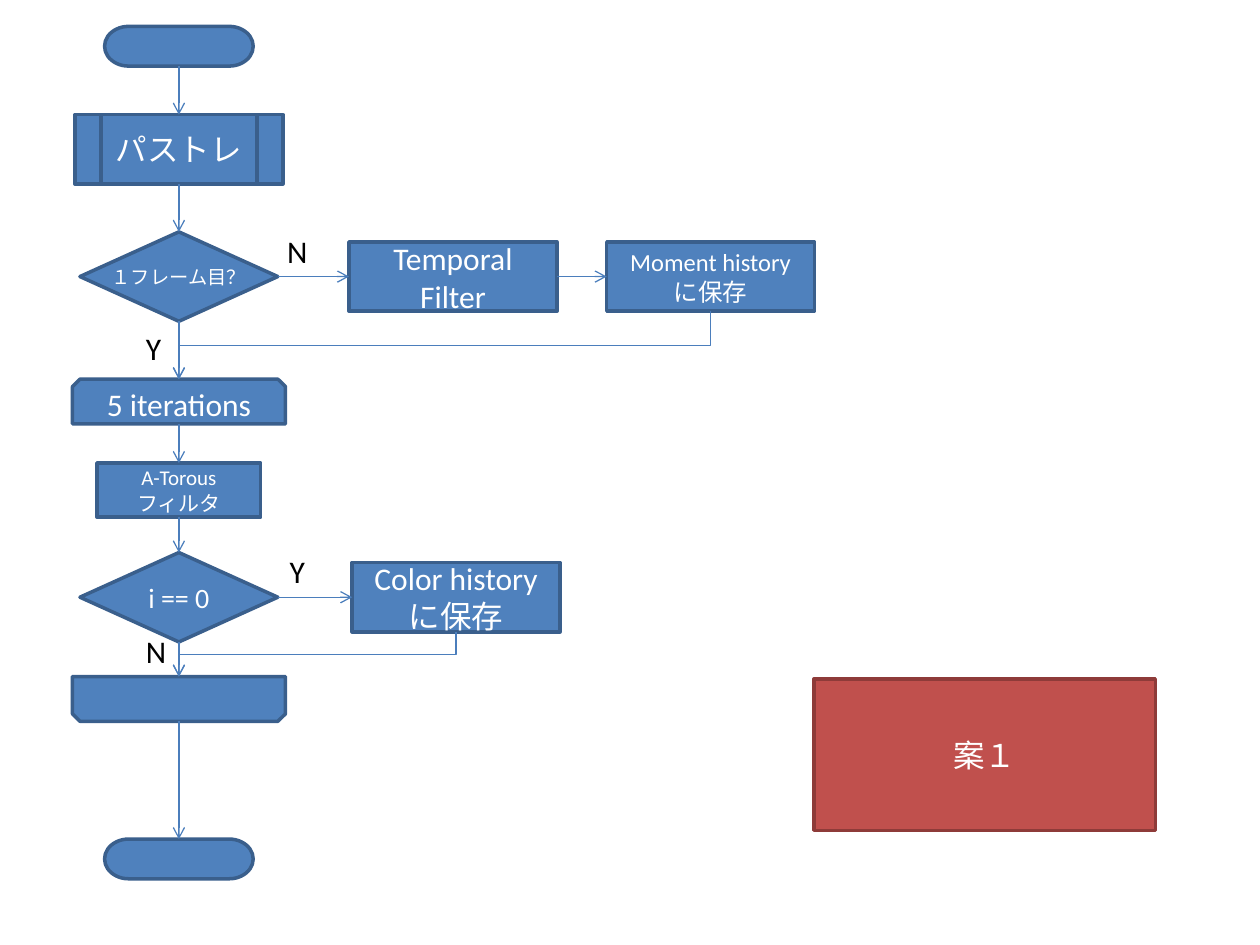
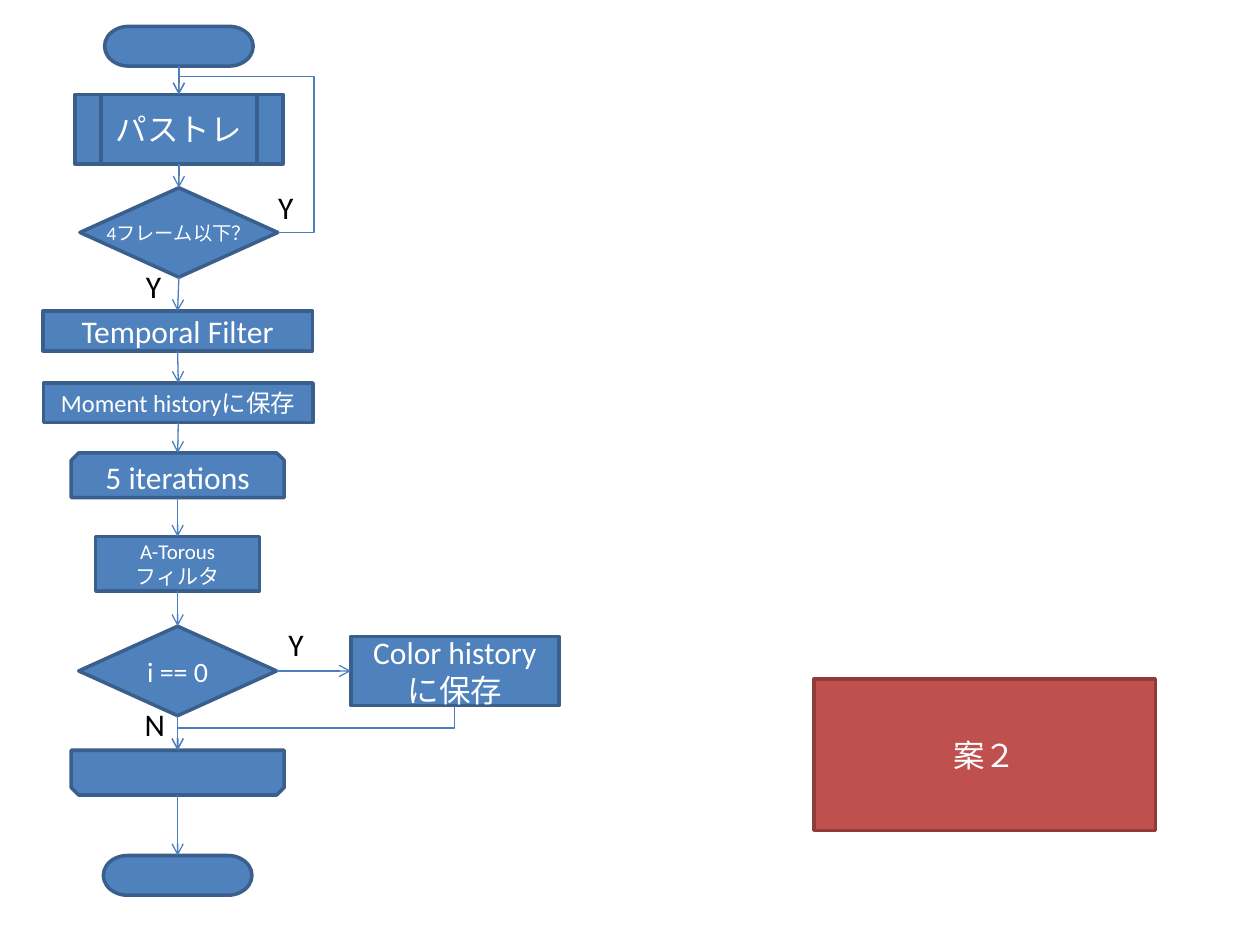
"""Build two flowchart slides that compare two plans for a denoising pipeline."""
import pptx
import pptx.util
import pptx.dml.color
import pptx.enum.shapes
import pptx.enum.text
import pptx.oxml
import pptx.oxml.ns

SHAPE = pptx.enum.shapes.MSO_SHAPE
CONNECTOR = pptx.enum.shapes.MSO_CONNECTOR
COLORS = {"step": "4F81BD", "step edge": "3A5F8C", "arrow": "4B7EBC",
          "plan": "C0504D", "plan edge": "8E3B39", "light": "FFFFFF", "dark": "000000"}
FONT = "Calibri"
SLIDE_SIZE = (10, 7.5)
COLUMNS = 100
TOP, LEFT, BOTTOM, RIGHT = range(4)

KINDS = {
    "terminal": (SHAPE.FLOWCHART_TERMINATOR, 11.8, 3.15),
    "routine": (SHAPE.FLOWCHART_PREDEFINED_PROCESS, 16.5, 5.5),
    "decision": (SHAPE.FLOWCHART_DECISION, 15.7, 7.1),
    "process": (SHAPE.RECTANGLE, 16.5, 5.5),
    "filter": (SHAPE.RECTANGLE, 13, 4.3),
    "bar": (SHAPE.RECTANGLE, 21.4, 3.15),
    "loop start": (SHAPE.SNIP_2_SAME_RECTANGLE, 16.9, 3.55),
    "loop end": (SHAPE.SNIP_2_SAME_RECTANGLE, 16.9, 3.55),
    "plan": (SHAPE.RECTANGLE, 27.1, 12),
}

# Steps: name, kind, text, text size, centre column, top row
START = ("start", "terminal", "", 18, 14.2, 2.1)
LOOP_STEPS = [
    ("loop", "loop start", "5 iterations", 18, 0, 0),
    ("atorous", "filter", "A-Torous\nフィルタ", 12, 0, 6.65),
    ("first pass", "decision", "i == 0", 16, 0, 13.75),
    ("loop end", "loop end", "", 18, 0, 23.6),
    ("color", "process", "Color history\nに保存", 18, 22, 14.55),
]
LOOP_LABELS = [("Y", 7.8, 13.2), ("N", -3.6, 19.55)]
LOOP_CHAIN = ["loop", "atorous", "first pass", "loop end", "end"]

PLANS = [
    {
        "steps": [
            START,
            ("trace", "routine", "パストレ", 18, 14.2, 9.1),
            ("frame", "decision", "１フレーム目？", 11, 14.2, 18.4),
            ("temporal", "process", "Temporal\nFilter", 18, 35.95, 19.2),
            ("moment", "process", "Moment history\nに保存", 14, 56.4, 19.2),
            ("end", "terminal", "", 18, 14.2, 66.6),
            ("plan", "plan", "案１", 18, 78.15, 53.9),
        ],
        "labels": [("Y", 10.6, 25.6), ("N", 21.8, 17.9)],
        "loop": (14.2, 30.1),
        "down": ["start", "trace", "frame"] + LOOP_CHAIN,
        "across": ["frame", "temporal", "moment"],
        "returns": [("moment", "loop")],
        "repeats": [],
    },
    {
        "steps": [
            START,
            ("trace", "routine", "パストレ", 18, 14.2, 7.5),
            ("frame", "decision", "4フレーム以下？", 11, 14.2, 14.9),
            ("temporal", "bar", "Temporal Filter", 18, 14.1, 24.7),
            ("moment", "bar", "Moment historyに保存", 14, 14.15, 30.4),
            ("end", "terminal", "", 18, 14.1, 67.9),
            ("plan", "plan", "案２", 18, 78.15, 53.9),
        ],
        "labels": [("Y", 10.6, 20.7), ("Y", 21.1, 14.4)],
        "loop": (14.1, 35.95),
        "down": ["start", "trace", "frame", "temporal", "moment"] + LOOP_CHAIN,
        "across": [],
        "returns": [],
        "repeats": [("frame", "trace")],
    },
]


def cells(count):
    return pptx.util.Inches(count * SLIDE_SIZE[0] / COLUMNS)


def rgb(name):
    return pptx.dml.color.RGBColor.from_string(COLORS[name])


def write(frame, text, size=18, color="light", align=pptx.enum.text.PP_ALIGN.CENTER, wrap=True):
    frame.word_wrap = wrap
    for index, line in enumerate(text.split("\n")):
        paragraph = frame.add_paragraph() if index else frame.paragraphs[0]
        paragraph.alignment = align
        run = paragraph.add_run()
        run.text = line
        run.font.name = FONT
        run.font.size = pptx.util.Pt(size)
        run.font.color.rgb = rgb(color)


def add_step(slide, kind, text, size, center, top):
    preset, width, height = KINDS[kind]
    step = slide.shapes.add_shape(preset, cells(center - width / 2), cells(top),
                                  cells(width), cells(height))
    palette = "plan" if kind == "plan" else "step"
    step.shadow.inherit = False
    step.fill.solid()
    step.fill.fore_color.rgb = rgb(palette)
    step.line.color.rgb = rgb(palette + " edge")
    step.line.width = pptx.util.Pt(2)
    if kind == "loop end":
        step.element.spPr.find(pptx.oxml.ns.qn("a:xfrm")).set("flipV", "1")
    if text:
        step.text_frame.vertical_anchor = pptx.enum.text.MSO_ANCHOR.MIDDLE
        write(step.text_frame, text, size=size, wrap=kind != "decision")
    return step


def add_label(slide, text, left, top):
    label = slide.shapes.add_textbox(cells(left), cells(top), cells(3.5), cells(4))
    label.text_frame.auto_size = pptx.enum.text.MSO_AUTO_SIZE.SHAPE_TO_FIT_TEXT
    write(label.text_frame, text, color="dark", align=pptx.enum.text.PP_ALIGN.LEFT)


def side_point(step, side):
    x = {LEFT: 0, RIGHT: step.width}.get(side, step.width // 2)
    y = {TOP: 0, BOTTOM: step.height}.get(side, step.height // 2)
    return step.left + x, step.top + y


def add_arrow(slide, kind, begin, end):
    arrow = slide.shapes.add_connector(kind, *begin, *end)
    arrow.line.color.rgb = rgb("arrow")
    arrow.line.width = pptx.util.Pt(0.75)
    line = arrow.line._get_or_add_ln()
    line.append(pptx.oxml.parse_xml(f'<a:tailEnd {pptx.oxml.ns.nsdecls("a")} type="arrow"/>'))
    properties = arrow._element.spPr
    properties.append(pptx.oxml.parse_xml(f'<a:effectLst {pptx.oxml.ns.nsdecls("a")}/>'))
    return arrow, properties


def join(slide, source, target, source_side, target_side):
    arrow, _ = add_arrow(slide, CONNECTOR.STRAIGHT, side_point(source, source_side),
                         side_point(target, target_side))
    snipped = SHAPE.SNIP_2_SAME_RECTANGLE
    if source.auto_shape_type != snipped:
        arrow.begin_connect(source, source_side)
    if target.auto_shape_type != snipped:
        arrow.end_connect(target, target_side)


def add_return(slide, source, target):
    (x1, y1), (x2, y2) = side_point(source, BOTTOM), side_point(target, TOP)
    middle_x, middle_y = (x1 + x2) // 2, (y1 + y2) // 2
    half_drop, half_run = (y2 - y1) // 2, (x1 - x2) // 2
    _, properties = add_arrow(slide, CONNECTOR.ELBOW,
                              (middle_x - half_drop, middle_y - half_run),
                              (middle_x + half_drop, middle_y + half_run))
    properties.find(pptx.oxml.ns.qn("a:xfrm")).set("rot", "5400000")


def add_repeat(slide, source, target):
    _, properties = add_arrow(slide, CONNECTOR.ELBOW, side_point(source, RIGHT),
                              side_point(target, TOP))
    geometry = properties.find(pptx.oxml.ns.qn("a:prstGeom"))
    geometry.set("prst", "bentConnector4")
    guides = geometry.find(pptx.oxml.ns.qn("a:avLst"))
    for name, value in (("adj1", -36700), ("adj2", 113300)):
        guides.append(pptx.oxml.parse_xml(
            f'<a:gd {pptx.oxml.ns.nsdecls("a")} name="{name}" fmla="val {value}"/>'))


def build_plan(slide, plan):
    column, row = plan["loop"]
    loop_steps = [(*step, column + x, row + y) for *step, x, y in LOOP_STEPS]
    loop_labels = [(text, column + x, row + y) for text, x, y in LOOP_LABELS]
    steps = {name: add_step(slide, *details) for name, *details in plan["steps"] + loop_steps}
    for label in plan["labels"] + loop_labels:
        add_label(slide, *label)
    routes = [(plan["down"], BOTTOM, TOP), (plan["across"], RIGHT, LEFT),
              (["first pass", "color"], RIGHT, LEFT)]
    for chain, source_side, target_side in routes:
        for source, target in zip(chain, chain[1:]):
            join(slide, steps[source], steps[target], source_side, target_side)
    for source, target in plan["returns"] + [("color", "loop end")]:
        add_return(slide, steps[source], steps[target])
    for source, target in plan["repeats"]:
        add_repeat(slide, steps[source], steps[target])


def main():
    deck = pptx.Presentation()
    deck.slide_width, deck.slide_height = map(pptx.util.Inches, SLIDE_SIZE)
    for plan in PLANS:
        build_plan(deck.slides.add_slide(deck.slide_layouts[6]), plan)
    deck.save("out.pptx")


if __name__ == "__main__":
    main()
